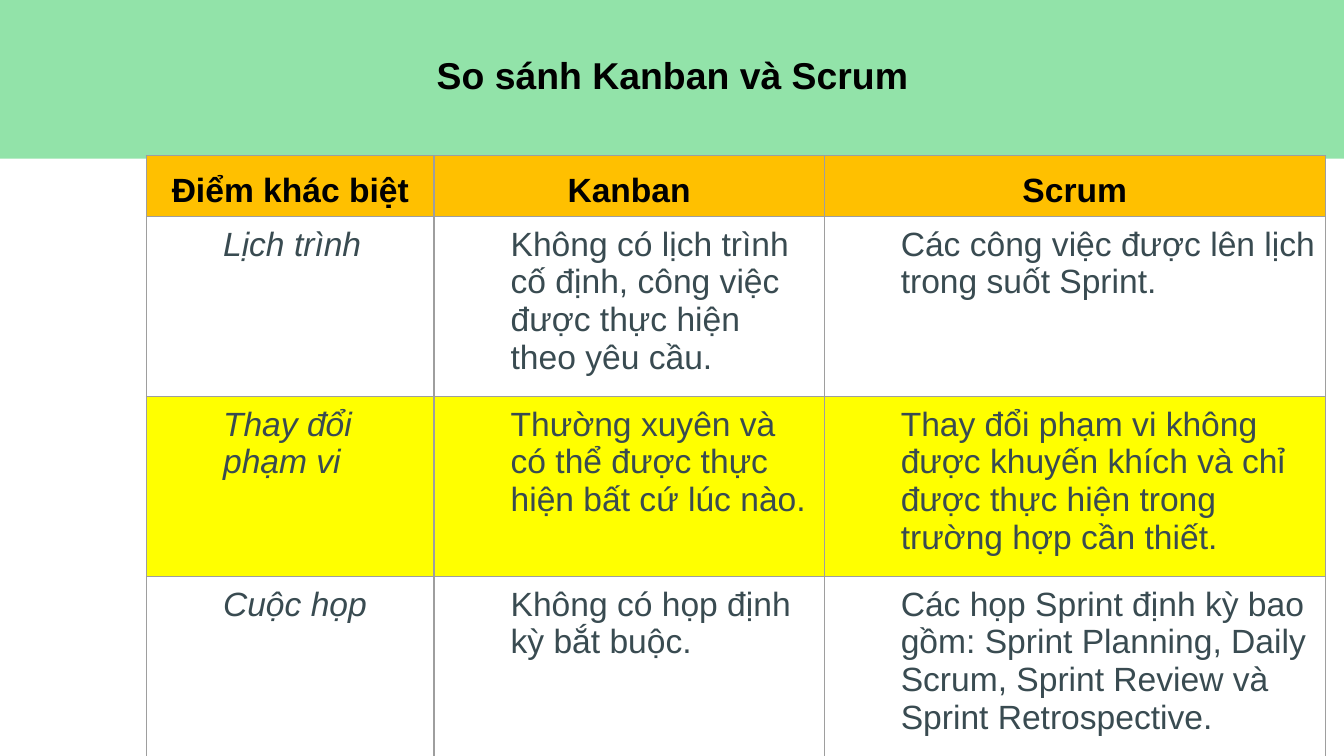
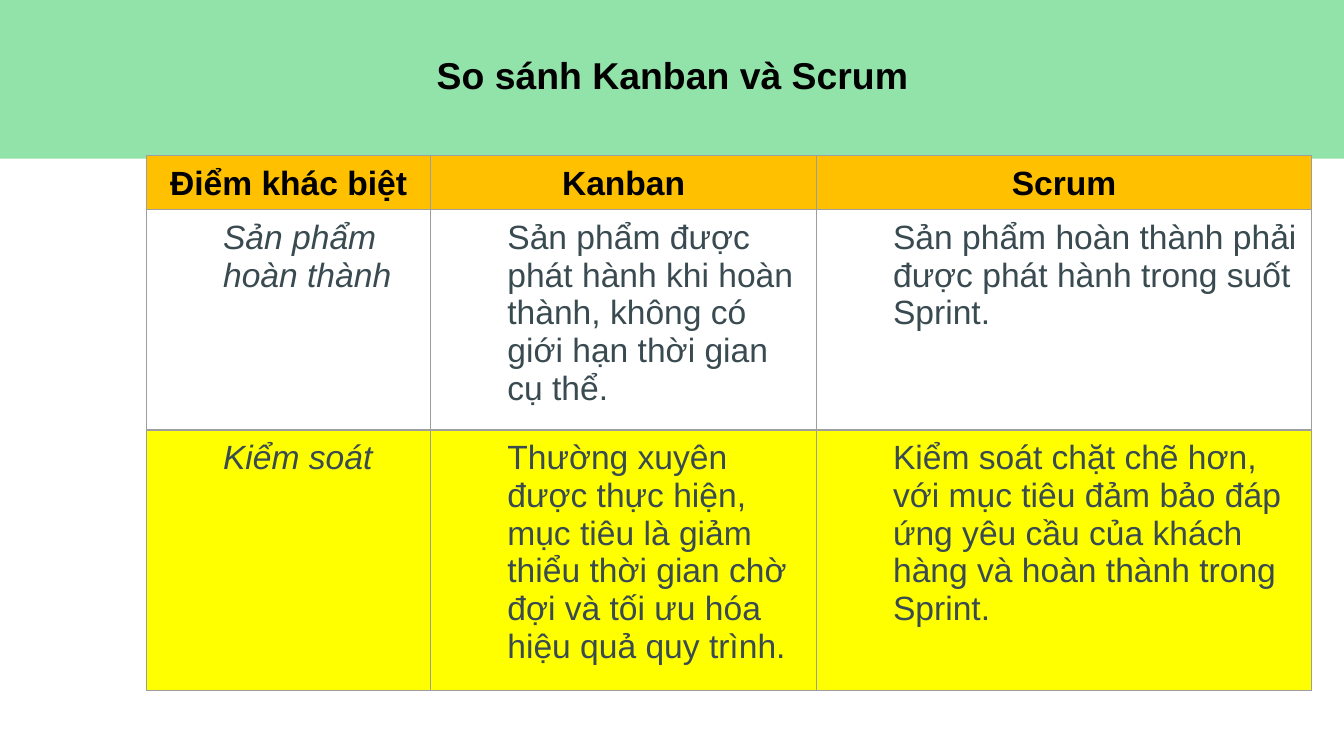
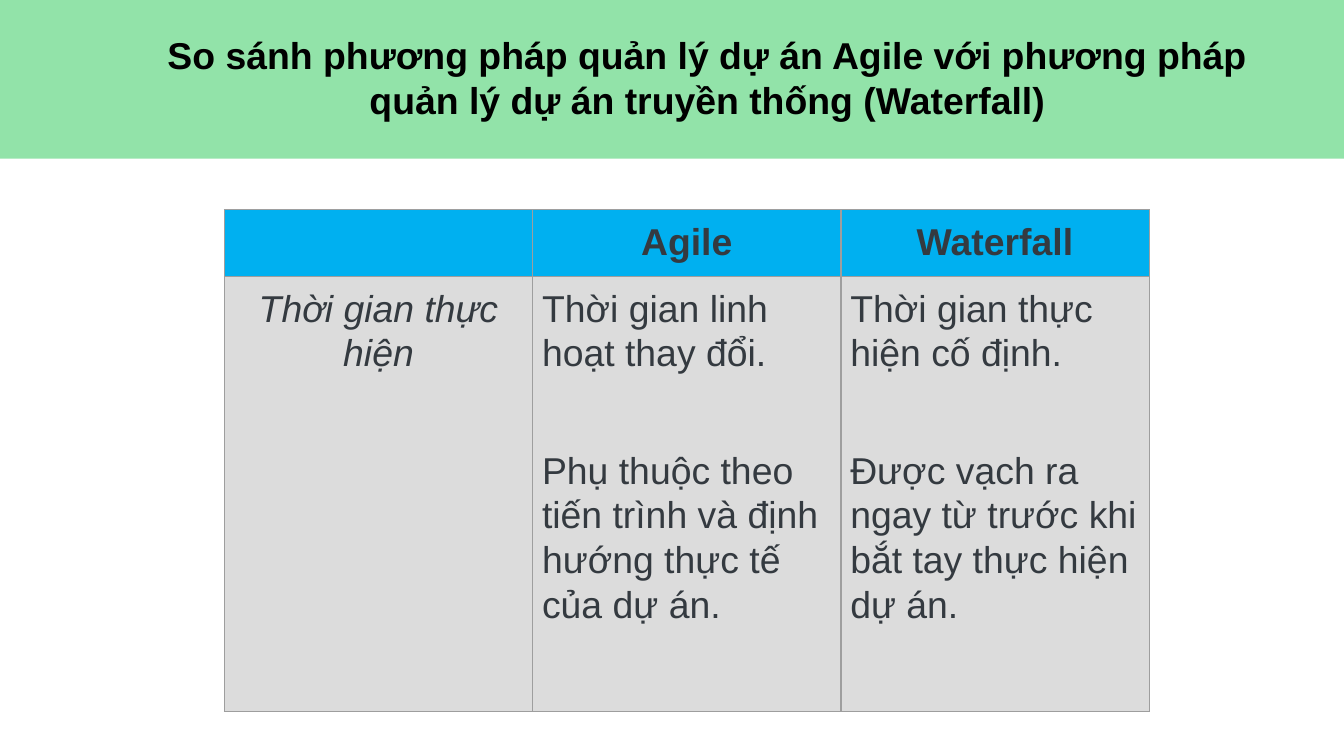
import pptx
import pptx.dml.color
import pptx.enum.shapes
import pptx.enum.text
import pptx.util
from dataclasses import dataclass
from lxml import etree

RGBColor = pptx.dml.color.RGBColor
Inches = pptx.util.Inches
Pt = pptx.util.Pt
ANCHOR = pptx.enum.text.MSO_ANCHOR
ALIGN = pptx.enum.text.PP_ALIGN

MINT = RGBColor(0x92, 0xE3, 0xA9)
AMBER = RGBColor(0xFF, 0xC0, 0x00)
YELLOW = RGBColor(0xFF, 0xFF, 0x00)
SKY = RGBColor(0x00, 0xB0, 0xF0)
SILVER = RGBColor(0xDC, 0xDC, 0xDC)
BLACK = RGBColor(0x00, 0x00, 0x00)
SLATE = RGBColor(0x39, 0x4B, 0x51)
CHARCOAL = RGBColor(0x34, 0x3A, 0x40)
BORDER = RGBColor(0x9E, 0x9E, 0x9E)

FONT = "Arial"
COLUMNS = 100
ROWS = 56.25
PARAGRAPH_GAP = 31
DRAWING = "http://schemas.openxmlformats.org/drawingml/2006/main"


@dataclass
class TableStyle:
    size: int
    header_fill: RGBColor
    header_color: RGBColor
    body_color: RGBColor
    row_fills: tuple
    label_align: ALIGN = ALIGN.LEFT
    header_anchor: ANCHOR = ANCHOR.TOP
    indent: float = 0
    line_spacing: float = 1
    header_after: int = 0
    body_after: int = 0


KANBAN_STYLE = TableStyle(18, AMBER, BLACK, SLATE, (None, YELLOW),
                          header_anchor=ANCHOR.BOTTOM, indent=5, body_after=7)
AGILE_STYLE = TableStyle(20, SKY, CHARCOAL, CHARCOAL, (SILVER,),
                         label_align=ALIGN.CENTER, line_spacing=1.07,
                         header_after=8, body_after=8)


class Deck:
    def __init__(self):
        self.prs = pptx.Presentation()
        self.prs.slide_width = Inches(10)
        self.prs.slide_height = Inches(5.625)
        self.layout = self.prs.slide_layouts.get_by_name("Title Only")
        self.slide = None

    def x(self, columns):
        return round(self.prs.slide_width * columns / COLUMNS)

    def y(self, rows):
        return round(self.prs.slide_height * rows / ROWS)

    def box(self, left, top, width, height):
        return self.x(left), self.y(top), self.x(width), self.y(height)

    def add_slide(self):
        first = self.slide is None
        self.slide = self.prs.slides.add_slide(self.layout)
        if first:
            self.master_band()

    def master_band(self):
        sp = self.slide.shapes.add_shape(
            pptx.enum.shapes.MSO_SHAPE.RECTANGLE, *self.box(0, 0, COLUMNS, 11.8))
        sp.shadow.inherit = False
        sp.fill.solid()
        sp.fill.fore_color.rgb = MINT
        sp.line.fill.background()
        self.prs.slide_master.shapes.element.insert(2, sp.element)

    def format(self, p, size, color, bold=False, italic=False):
        p.font.name = FONT
        p.font.size = Pt(size)
        p.font.color.rgb = color
        p.font.bold = bold
        p.font.italic = italic

    def title(self, text, left=6.2, top=3.4, height=4.4):
        sp = self.slide.shapes.title
        sp.left, sp.top, sp.width, sp.height = self.box(left, top, 87.7, height)
        tf = sp.text_frame
        tf.word_wrap = True
        tf.auto_size = pptx.enum.text.MSO_AUTO_SIZE.SHAPE_TO_FIT_TEXT
        tf.vertical_anchor = ANCHOR.TOP
        tf.text = text
        p = tf.paragraphs[0]
        p.alignment = ALIGN.CENTER
        self.format(p, 20, BLACK, bold=True)

    def borders(self, cell):
        tc_pr = cell._tc.get_or_add_tcPr()
        for i, side in enumerate("LRTB"):
            ln = etree.Element(f"{{{DRAWING}}}ln{side}", w=str(Pt(0.75)))
            fill = etree.SubElement(ln, f"{{{DRAWING}}}solidFill")
            etree.SubElement(fill, f"{{{DRAWING}}}srgbClr", val=str(BORDER))
            tc_pr.insert(i, ln)

    def cell(self, cell, text, style, row, column):
        header = row == 0
        label = column == 0 and not header
        fill = (style.header_fill if header
                else style.row_fills[(row - 1) % len(style.row_fills)])
        if fill is None:
            cell.fill.background()
        else:
            cell.fill.solid()
            cell.fill.fore_color.rgb = fill
        self.borders(cell)
        if header:
            cell.vertical_anchor = style.header_anchor
        if not header or style.header_anchor == ANCHOR.TOP:
            cell.margin_left = cell.margin_right = self.x(0.7)
            cell.margin_top = cell.margin_bottom = self.y(0.7)
        cell.text = text
        for i, p in enumerate(cell.text_frame.paragraphs):
            if style.indent and not header:
                p._p.get_or_add_pPr().set("marL", str(self.x(style.indent)))
            p.alignment = (ALIGN.CENTER if header
                           else style.label_align if label else ALIGN.LEFT)
            p.line_spacing = style.line_spacing
            p.space_after = Pt(style.header_after if header else style.body_after)
            if i:
                p.space_before = Pt(PARAGRAPH_GAP)
            self.format(p, style.size,
                        style.header_color if header else style.body_color,
                        bold=header, italic=label)

    def table(self, data, style, left, top, width, shares, heights):
        table = self.slide.shapes.add_table(
            len(data), len(data[0]),
            *self.box(left, top, width, sum(heights))).table
        table.first_row = False
        table.horz_banding = False
        for column, share in zip(table.columns, shares):
            column.width = self.x(width * share / sum(shares))
        for row, height in zip(table.rows, heights):
            row.height = self.y(height)
        for i, texts in enumerate(data):
            for j, text in enumerate(texts):
                self.cell(table.cell(i, j), text, style, i, j)


KANBAN_TITLE = "So sánh Kanban và Scrum"
KANBAN_HEADER = ("Điểm khác biệt", "Kanban", "Scrum")
KANBAN_SHARES = (24.4, 33.1, 42.5)
KANBAN_SLIDES = [
    (87.7, (4.5, 13.4, 13.4, 13.4), [
        ("Lịch trình",
         "Không có lịch trình cố định, công việc được thực hiện theo yêu cầu.",
         "Các công việc được lên lịch trong suốt Sprint."),
        ("Thay đổi phạm vi",
         "Thường xuyên và có thể được thực hiện bất cứ lúc nào.",
         "Thay đổi phạm vi không được khuyến khích và chỉ được thực hiện "
         "trong trường hợp cần thiết."),
        ("Cuộc họp",
         "Không có họp định kỳ bắt buộc.",
         "Các họp Sprint định kỳ bao gồm: Sprint Planning, Daily Scrum, "
         "Sprint Review và Sprint Retrospective."),
    ]),
    (86.7, (4, 16.4, 19.4), [
        ("Sản phẩm hoàn thành",
         "Sản phẩm được phát hành khi hoàn thành, không có giới hạn "
         "thời gian cụ thể.",
         "Sản phẩm hoàn thành phải được phát hành trong suốt Sprint."),
        ("Kiểm soát",
         "Thường xuyên được thực hiện, mục tiêu là giảm thiểu thời gian "
         "chờ đợi và tối ưu hóa hiệu quả quy trình.",
         "Kiểm soát chặt chẽ hơn, với mục tiêu đảm bảo đáp ứng yêu cầu "
         "của khách hàng và hoàn thành trong Sprint."),
    ]),
]
AGILE_TITLE = ("So sánh phương pháp quản lý dự án Agile với phương pháp "
               "quản lý dự án truyền thống (Waterfall)")
AGILE_ROWS = [
    ("", "Agile", "Waterfall"),
    ("Thời gian thực hiện",
     "Thời gian linh hoạt thay đổi.\n"
     "Phụ thuộc theo tiến trình và định hướng thực tế của dự án.",
     "Thời gian thực hiện cố định.\n"
     "Được vạch ra ngay từ trước khi bắt tay thực hiện dự án."),
]


def main():
    deck = Deck()
    for width, heights, rows in KANBAN_SLIDES:
        deck.add_slide()
        deck.title(KANBAN_TITLE)
        deck.table([KANBAN_HEADER] + rows, KANBAN_STYLE,
                   10.9, 11.6, width, KANBAN_SHARES, heights)
    deck.add_slide()
    deck.title(AGILE_TITLE, left=8.8, top=1.9, height=11.1)
    deck.table(AGILE_ROWS, AGILE_STYLE, 16.7, 15.6, 68.8, (1, 1, 1), (4.9, 32.4))
    deck.prs.save("out.pptx")


if __name__ == "__main__":
    main()
